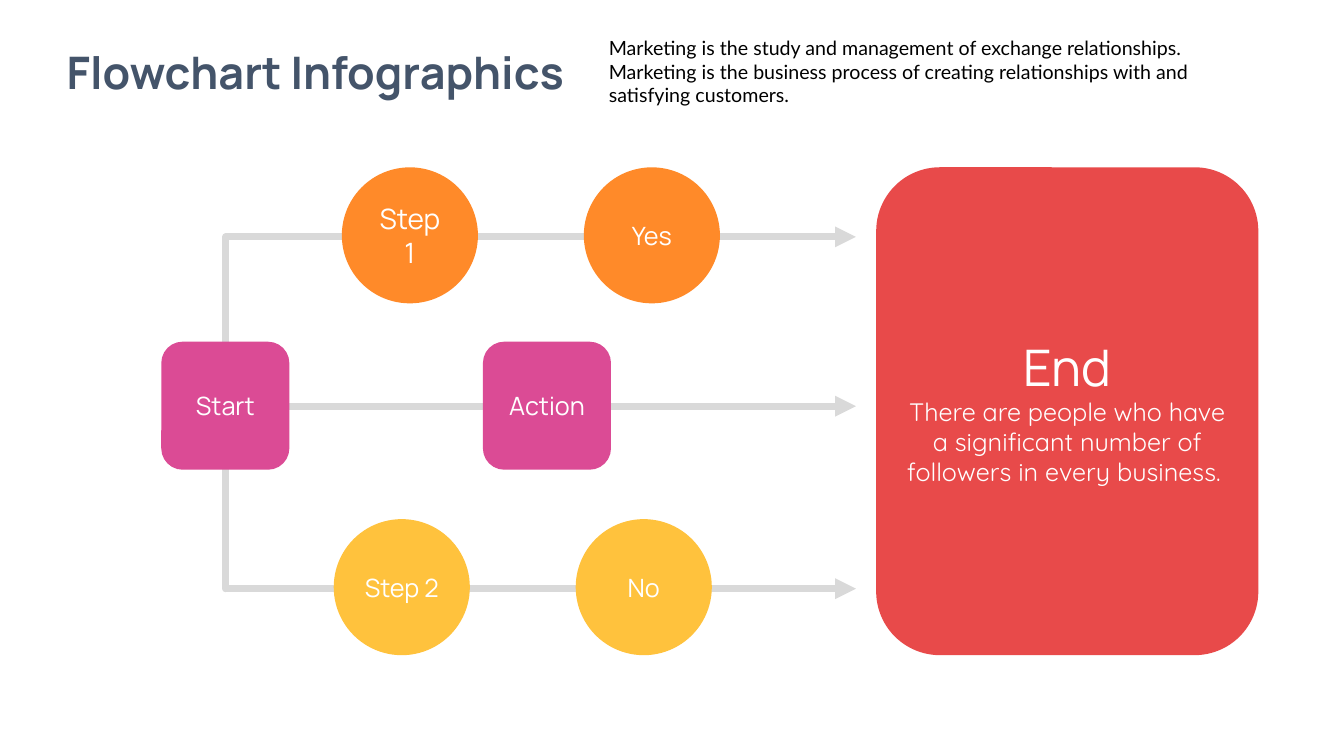
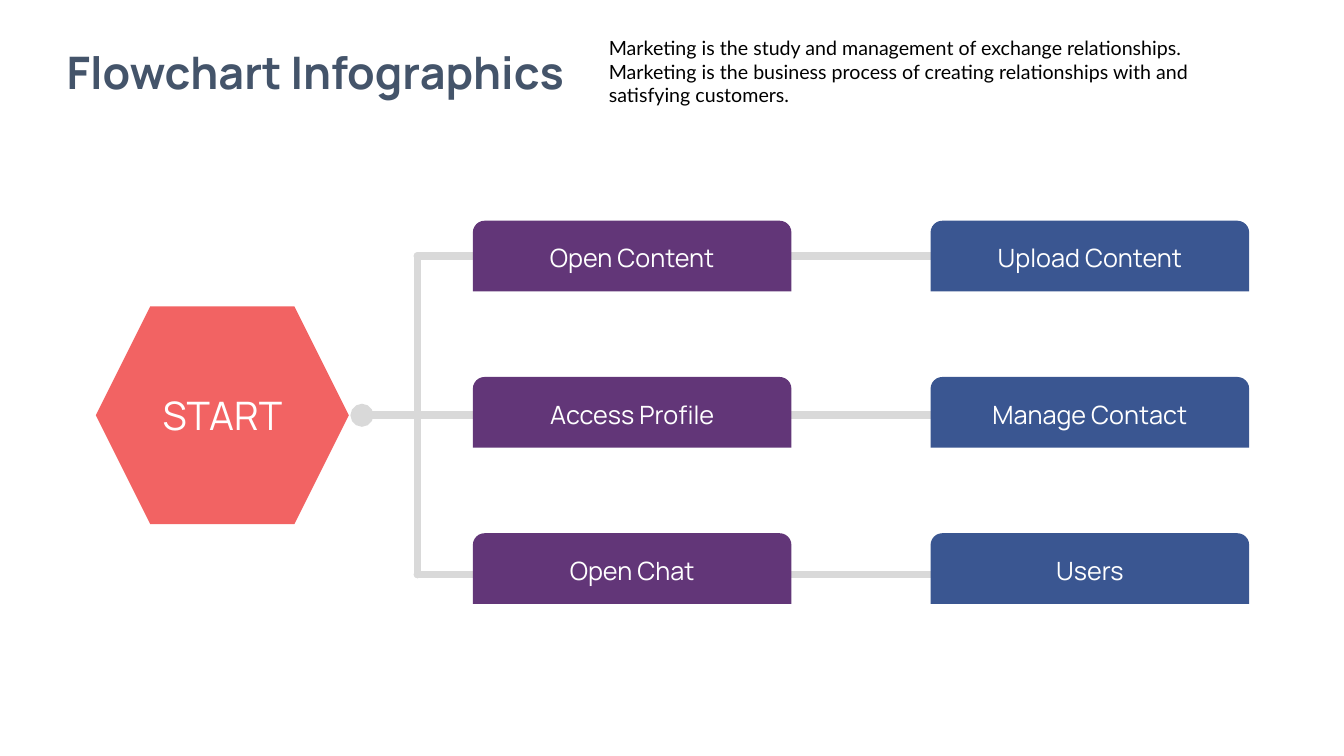
from lxml import etree
from pptx import Presentation
from pptx.dml.color import RGBColor
from pptx.enum.shapes import MSO_CONNECTOR, MSO_SHAPE
from pptx.enum.text import MSO_ANCHOR, MSO_AUTO_SIZE, PP_ALIGN
from pptx.oxml.ns import qn
from pptx.util import Inches, Pt

# Shared colours, fonts and wording
INK, BLACK, WHITE, GREY = "44546A", "000000", "FFFFFF", "D9D9D9"
PINK, RED, ORANGE, YELLOW = "DB4B95", "E84A4A", "FF8A29", "FFC23D"
CORAL, PURPLE, BLUE = "F26363", "623678", "3A5691"
HEAD_FONT, INTRO_FONT, NOTE_FONT = "Manrope", "Lato", "Quicksand"
TITLE = "Flowchart Infographics"
INTRO = ("Marketing is the study and management of exchange relationships. "
         "Marketing is the business process of creating relationships with "
         "and satisfying customers.")


def rgb(value):
    return RGBColor.from_string(value)


def add_run(p, text, size, color=WHITE, font=HEAD_FONT, bold=False):
    r = p.add_run()
    r.text = text
    r.font.size = Pt(size)
    r.font.name = font
    r.font.bold = bold
    r.font.color.rgb = rgb(color)


def add_header(s):
    """Title on the left, introduction on the right."""
    title = s.shapes.title
    title.left, title.top = Inches(0.32), Inches(0.39)
    title.width, title.height = Inches(5.62), Inches(0.64)
    tf = title.text_frame
    tf.auto_size = MSO_AUTO_SIZE.NONE
    tf.vertical_anchor = MSO_ANCHOR.MIDDLE
    p = tf.paragraphs[0]
    p.alignment = PP_ALIGN.CENTER
    add_run(p, TITLE, 32, INK, bold=True)

    intro = s.shapes.add_textbox(Inches(5.94), Inches(0.31), Inches(6.3), Inches(0.81))
    intro.text_frame.word_wrap = True
    add_run(intro.text_frame.paragraphs[0], INTRO, 14, BLACK, INTRO_FONT)


def add_line(s, x1, y1, x2, y2, weight, tail=None):
    line = s.shapes.add_connector(
        MSO_CONNECTOR.STRAIGHT, Inches(x1), Inches(y1), Inches(x2), Inches(y2))
    line.line.color.rgb = rgb(GREY)
    line.line.width = Pt(weight)
    sp_pr = line._element.spPr
    ln = sp_pr.find(qn("a:ln"))
    ln.set("cap", "rnd")
    if tail:
        etree.SubElement(ln, qn("a:tailEnd"), type=tail)
    etree.SubElement(sp_pr, qn("a:effectLst"))


def add_node(s, preset, x, y, w, h, fill, text, size=18):
    sp = s.shapes.add_shape(preset, Inches(x), Inches(y), Inches(w), Inches(h))
    sp.shadow.inherit = False
    sp.fill.solid()
    sp.fill.fore_color.rgb = rgb(fill)
    sp.line.fill.background()
    tf = sp.text_frame
    tf.word_wrap = True
    tf.vertical_anchor = MSO_ANCHOR.MIDDLE
    p = tf.paragraphs[0]
    p.alignment = PP_ALIGN.CENTER
    add_run(p, text, size)
    return sp


def build_decision_slide(s):
    add_header(s)

    # Trunk and arrows to the end box
    trunk_x, top_y, bottom_y = 2.24, 2.35, 5.84
    add_line(s, trunk_x, top_y, trunk_x, bottom_y, 5)
    for y in (top_y, bottom_y, 4.03):
        add_line(s, trunk_x, y, 8.49, y, 5, "triangle")

    # Middle branch
    for x, text in ((1.6, "Start"), (4.79, "Action")):
        add_node(s, MSO_SHAPE.ROUNDED_RECTANGLE, x, 3.39, 1.27, 1.27, PINK, text)

    # End box
    end = add_node(s, MSO_SHAPE.ROUNDED_RECTANGLE, 8.69, 1.66, 3.79, 4.84, RED, "End", 36)
    p = end.text_frame.add_paragraph()
    p.alignment = PP_ALIGN.CENTER
    add_run(p, "There are people who have a significant number of followers "
               "in every business. ", 18, font=NOTE_FONT)

    # Upper and lower branches
    branches = (
        (3.39, 1.66, ORANGE, (("Step 1", 20), ("Yes", 18))),
        (3.31, 5.15, YELLOW, (("Step 2", 18), ("No", 18))),
    )
    for left, y, fill, steps in branches:
        for i, (text, size) in enumerate(steps):
            add_node(s, MSO_SHAPE.OVAL, left + 2.4 * i, y, 1.35, 1.35, fill, text, size)


def build_tree_slide(s):
    add_header(s)

    # Trunk and branches
    trunk_x, right = 4.14, 10.81
    top_y, middle_y, bottom_y = (2.54 + 1.58 * i for i in range(3))
    add_line(s, right, top_y, trunk_x, top_y, 5.5)
    add_line(s, right, middle_y, 3.59, middle_y, 5.5, "oval")
    add_line(s, right, bottom_y, trunk_x, bottom_y, 5.5)
    add_line(s, trunk_x, top_y, trunk_x, bottom_y, 5.5)

    # Start and the two columns of steps
    add_node(s, MSO_SHAPE.HEXAGON, 0.95, 3.04, 2.51, 2.16, CORAL, "START", 28)
    columns = (
        (4.69, PURPLE, ("Open Content", "Access Profile", "Open Chat")),
        (9.23, BLUE, ("Upload Content", "Manage Contact", "Users")),
    )
    for x, fill, labels in columns:
        for i, text in enumerate(labels):
            add_node(s, MSO_SHAPE.ROUND_2_SAME_RECTANGLE,
                     x, 2.19 + 1.55 * i, 3.16, 0.7, fill, text)


def main():
    prs = Presentation()
    prs.slide_width, prs.slide_height = Inches(13.33), Inches(7.5)
    title_only = prs.slide_layouts[5]
    for build in (build_decision_slide, build_tree_slide):
        build(prs.slides.add_slide(title_only))
    prs.save("out.pptx")


if __name__ == "__main__":
    main()
